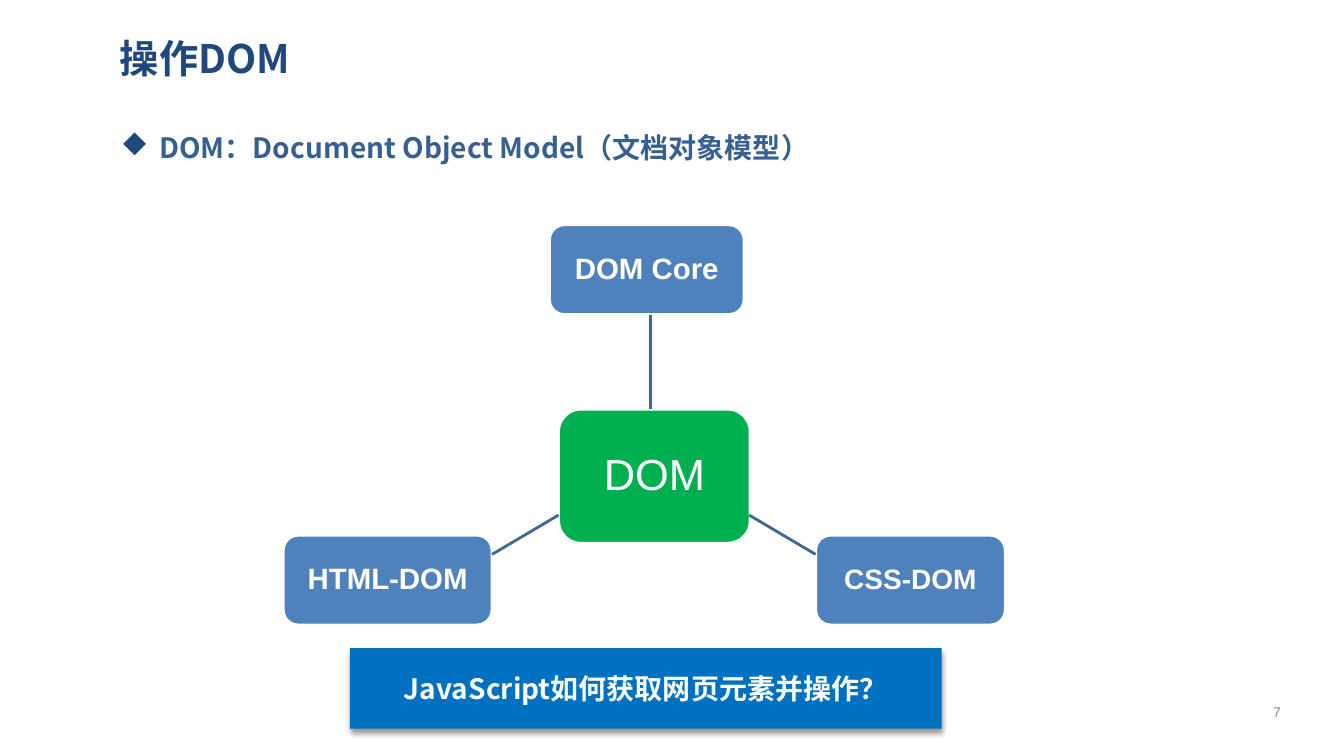
from dataclasses import dataclass

from lxml import etree
from pptx import Presentation
from pptx.dml.color import RGBColor
from pptx.enum.shapes import MSO_CONNECTOR, MSO_SHAPE
from pptx.enum.text import MSO_ANCHOR, MSO_AUTO_SIZE, PP_ALIGN
from pptx.oxml.ns import qn
from pptx.shapes.autoshape import Shape
from pptx.slide import Slide
from pptx.text.text import TextFrame
from pptx.util import Inches, Pt

ROUNDED, RECTANGLE = MSO_SHAPE.ROUNDED_RECTANGLE, MSO_SHAPE.RECTANGLE
STRAIGHT = MSO_CONNECTOR.STRAIGHT
MIDDLE, TOP = MSO_ANCHOR.MIDDLE, MSO_ANCHOR.TOP
LEFT, CENTER = PP_ALIGN.LEFT, PP_ALIGN.CENTER
NO_AUTOFIT = MSO_AUTO_SIZE.NONE


@dataclass(frozen=True)
class Theme:
    chinese_font: str = "Noto Sans CJK SC"
    latin_font: str = "Arial"
    navy: str = "1F497D"
    body_blue: str = "376092"
    hub_green: str = "00B050"
    branch_blue: str = "4F81BD"
    connector_blue: str = "3F6797"
    banner_blue: str = "0070C0"
    banner_text: str = "FBFFFE"
    white: str = "FFFFFF"
    grey: str = "8C8C8C"
    shadow: str = "000000"
    title_size: int = 28
    body_size: int = 20
    hub_size: int = 31
    branch_size: int = 21
    small_branch_size: int = 20
    number_size: int = 10
    line_width: int = 2


THEME = Theme()


@dataclass(frozen=True)
class Box:
    left: float
    top: float
    width: float
    height: float

    def lengths(self) -> tuple[int, ...]:
        return tuple(Inches(value) for value in (self.left, self.top, self.width, self.height))


@dataclass(frozen=True)
class TextStyle:
    font: str
    size: int
    color: str
    bold: bool = True
    align: PP_ALIGN = CENTER
    anchor: MSO_ANCHOR = MIDDLE
    line_spacing: float = 1.0


@dataclass(frozen=True)
class Node:
    text: str
    box: Box
    fill: str
    size: int
    bold: bool = True


@dataclass(frozen=True)
class Link:
    start: tuple[float, float]
    end: tuple[float, float]


BRANCH_HEIGHT = 0.89
LOWER_TOP = 5.31
NODES = [
    Node("DOM", Box(5.54, 4.06, 1.9, 1.33), THEME.hub_green, THEME.hub_size, bold=False),
    Node("DOM Core", Box(5.45, 2.23, 1.93, BRANCH_HEIGHT), THEME.branch_blue, THEME.branch_size),
    Node("CSS-DOM", Box(8.09, LOWER_TOP, 1.88, BRANCH_HEIGHT), THEME.branch_blue, THEME.small_branch_size),
    Node("HTML-DOM", Box(2.81, LOWER_TOP, 2.07, BRANCH_HEIGHT), THEME.branch_blue, THEME.branch_size),
]
LINKS = [
    Link((6.45, 4.06), (6.45, 3.13)),
    Link((7.43, 5.11), (8.09, 5.5)),
    Link((5.54, 5.11), (4.88, 5.5)),
]


def write_text(frame: TextFrame, text: str, style: TextStyle) -> None:
    frame.text = text
    frame.word_wrap = True
    frame.auto_size = NO_AUTOFIT
    frame.vertical_anchor = style.anchor
    frame.margin_left = frame.margin_right = Inches(0.09)
    frame.margin_top = frame.margin_bottom = Inches(0.04)
    paragraph = frame.paragraphs[0]
    paragraph.alignment = style.align
    paragraph.line_spacing = style.line_spacing
    font = paragraph.runs[0].font
    font.name = style.font
    font.size = Pt(style.size)
    font.bold = style.bold
    font.color.rgb = RGBColor.from_string(style.color)
    # East Asian characters take their typeface from a separate element.
    latin = font._element.find(qn("a:latin"))
    east_asian = etree.Element(qn("a:ea"), typeface=style.font)
    latin.addnext(east_asian)


def add_text_box(slide: Slide, box: Box, text: str, style: TextStyle) -> Shape:
    text_box = slide.shapes.add_textbox(*box.lengths())
    write_text(text_box.text_frame, text, style)
    return text_box


def add_diamond_bullet(frame: TextFrame) -> None:
    properties = frame.paragraphs[0]._p.get_or_add_pPr()
    properties.set("marL", str(Inches(0.38)))
    properties.set("indent", str(-Inches(0.38)))
    color = etree.SubElement(properties, qn("a:buClr"))
    etree.SubElement(color, qn("a:srgbClr"), val=THEME.navy)
    etree.SubElement(properties, qn("a:buFont"), typeface="Wingdings", charset="2")
    etree.SubElement(properties, qn("a:buChar"), char="u")


def add_filled_shape(slide: Slide, preset: MSO_SHAPE, box: Box, fill: str) -> Shape:
    shape = slide.shapes.add_shape(preset, *box.lengths())
    shape.shadow.inherit = False
    shape.fill.solid()
    shape.fill.fore_color.rgb = RGBColor.from_string(fill)
    shape.line.fill.background()
    return shape


def add_node(slide: Slide, node: Node) -> None:
    shape = add_filled_shape(slide, ROUNDED, node.box, node.fill)
    shape.line.color.rgb = RGBColor.from_string(THEME.white)
    shape.line.width = Pt(THEME.line_width)
    style = TextStyle(THEME.latin_font, node.size, THEME.white, node.bold, line_spacing=0.9)
    write_text(shape.text_frame, node.text, style)


def add_link(slide: Slide, link: Link) -> None:
    ends = [Inches(value) for value in (*link.start, *link.end)]
    connector = slide.shapes.add_connector(STRAIGHT, *ends)
    connector.line.color.rgb = RGBColor.from_string(THEME.connector_blue)
    connector.line.width = Pt(THEME.line_width)
    etree.SubElement(connector._element.spPr, qn("a:effectLst"))


def add_drop_shadow(shape: Shape) -> None:
    effects = shape._element.spPr.find(qn("a:effectLst"))
    shadow = etree.SubElement(
        effects, qn("a:outerShdw"), blurRad=str(Pt(4)), dist=str(Pt(3)),
        dir="5400000", algn="t", rotWithShape="0",
    )
    color = etree.SubElement(shadow, qn("a:srgbClr"), val=THEME.shadow)
    etree.SubElement(color, qn("a:alpha"), val="40000")


def main() -> None:
    presentation = Presentation()
    presentation.slide_width, presentation.slide_height = Inches(13.33), Inches(7.5)
    slide = presentation.slides.add_slide(presentation.slide_layouts[5])

    title = slide.shapes.title
    title.left, title.top, title.width, title.height = Box(1.1, 0.24, 11.65, 0.67).lengths()
    write_text(title.text_frame, "操作DOM",
               TextStyle(THEME.chinese_font, THEME.title_size, THEME.navy, align=LEFT))

    body_style = TextStyle(THEME.chinese_font, THEME.body_size, THEME.body_blue,
                           align=LEFT, anchor=TOP, line_spacing=1.2)
    body = add_text_box(slide, Box(1.11, 1.19, 11.65, 0.7),
                        "DOM：Document Object Model（文档对象模型）", body_style)
    add_diamond_bullet(body.text_frame)

    for node in NODES:
        add_node(slide, node)
    for link in LINKS:
        add_link(slide, link)

    banner = add_filled_shape(slide, RECTANGLE, Box(3.47, 6.43, 5.87, 0.8), THEME.banner_blue)
    add_drop_shadow(banner)
    write_text(banner.text_frame, "JavaScript如何获取网页元素并操作？",
               TextStyle(THEME.chinese_font, THEME.body_size, THEME.banner_text))

    add_text_box(slide, Box(12.34, 6.86, 0.65, 0.4), "7",
                 TextStyle(THEME.latin_font, THEME.number_size, THEME.grey, bold=False))
    presentation.save("out.pptx")


if __name__ == "__main__":
    main()
